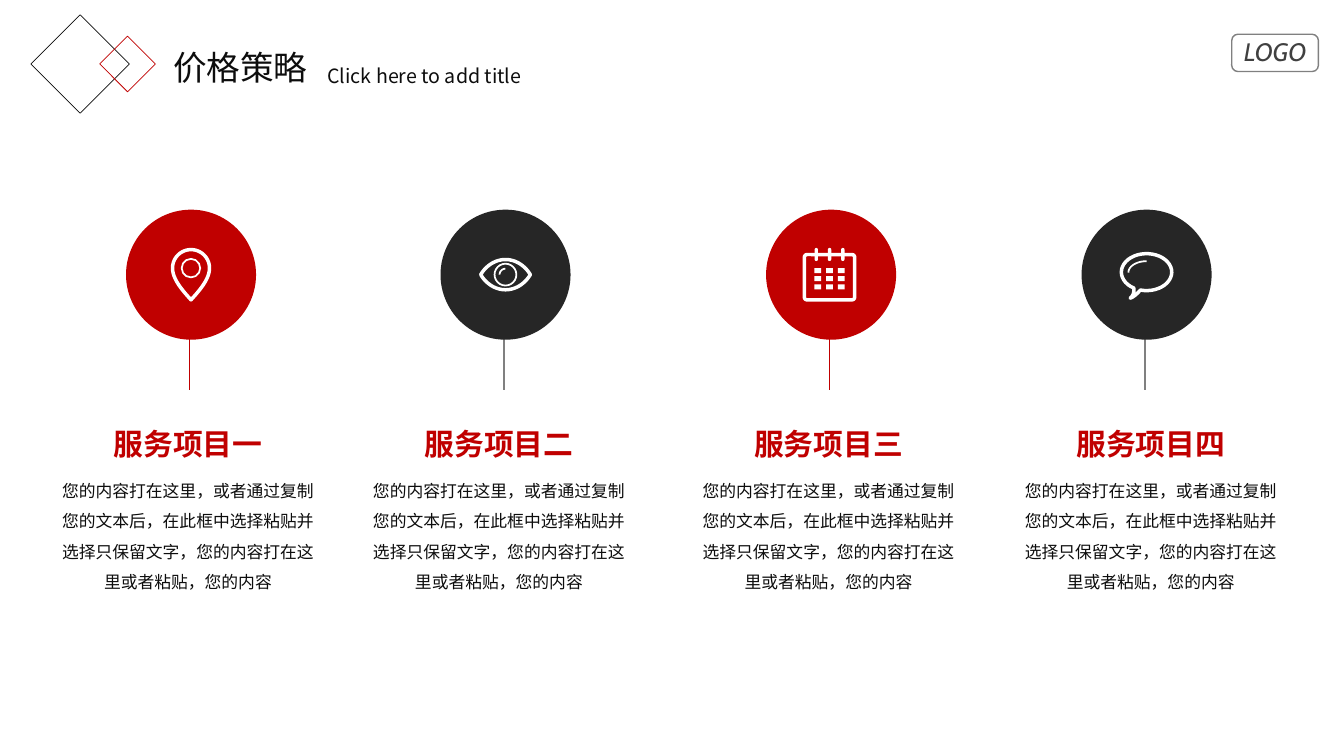
import math

from lxml import etree
from pptx import Presentation
from pptx.dml.color import RGBColor
from pptx.enum.shapes import MSO_CONNECTOR, MSO_SHAPE
from pptx.enum.text import MSO_AUTO_SIZE, PP_ALIGN
from pptx.oxml.ns import qn
from pptx.util import Inches, Pt

RECT, ROUND_RECT, OVAL = MSO_SHAPE.RECTANGLE, MSO_SHAPE.ROUNDED_RECTANGLE, MSO_SHAPE.OVAL
STRAIGHT = MSO_CONNECTOR.STRAIGHT
CENTER, LEFT, RIGHT = PP_ALIGN.CENTER, PP_ALIGN.LEFT, PP_ALIGN.RIGHT
FIT_TEXT = MSO_AUTO_SIZE.SHAPE_TO_FIT_TEXT

RED, DARK, INK, GRAY, WHITE = "C00000", "262626", "0D0D0D", "808080", "FFFFFF"
CJK_FONT, LOGO_FONT = "Noto Sans CJK SC", "Cabin"
CELL = Inches(1 / 12)
COLUMNS, ROWS = 160, 90
BOLD_STROKE, FINE_STROKE = 2.5, 1.25

DISC, DISC_TOP = 15.48, 24.96
DISC_MIDDLE = DISC_TOP + DISC / 2
STEM_TOP, STEM_BOTTOM, STEM_OFFSET = 33.96, 46.44, 7.56
HEADING_WIDTH, BODY_WIDTH = 24, 33.84
BODY = "您的内容打在这里，或者通过复制您的文本后，在此框中选择粘贴并选择只保留文字，您的内容打在这里或者粘贴，您的内容"


def cells(count):
    return round(count * CELL)


def color(hex_text):
    return RGBColor.from_string(hex_text)


def arc(cx, cy, rx, ry, start=0, end=360):
    angles = [math.radians(start + (end - start) * i / 40) for i in range(41)]
    return [(cx + rx * math.cos(a), cy + ry * math.sin(a)) for a in angles]


def bezier(*controls):
    points = []
    for i in range(17):
        t = i / 16
        weights = ((1 - t) ** 3, 3 * t * (1 - t) ** 2, 3 * t * t * (1 - t), t ** 3)
        points.append(tuple(sum(w * c[axis] for w, c in zip(weights, controls)) for axis in (0, 1)))
    return points


def mirror(points, sx, sy):
    return [(x * sx, y * sy) for x, y in reversed(points)]


class Board:
    """Draws styled elements on a slide measured in square grid cells."""

    def __init__(self, slide):
        self.slide = slide

    def paint(self, shape, fill, line, weight):
        shape.shadow.inherit = False
        if fill:
            shape.fill.solid()
            shape.fill.fore_color.rgb = color(fill)
        else:
            shape.fill.background()
        if line:
            shape.line.color.rgb = color(line)
            shape.line.width = Pt(weight)
        else:
            shape.line.fill.background()
        return shape

    def shape(self, preset, x, y, w, h, fill=None, line=None, weight=1):
        shape = self.slide.shapes.add_shape(preset, *map(cells, (x, y, w, h)))
        return self.paint(shape, fill, line, weight)

    def ring(self, cx, cy, radius, weight):
        self.shape(OVAL, cx - radius, cy - radius, 2 * radius, 2 * radius, line=WHITE, weight=weight)

    def stroke(self, cx, cy, points, weight, close=True):
        placed = [(cells(cx + x), cells(cy + y)) for x, y in points]
        builder = self.slide.shapes.build_freeform(*placed[0])
        builder.add_line_segments(placed[1:], close=close)
        self.paint(builder.convert_to_shape(), None, WHITE, weight)

    def stem(self, x, top, bottom, line):
        stem = self.slide.shapes.add_connector(STRAIGHT, *map(cells, (x, top, x, bottom)))
        stem.line.color.rgb = color(line)
        stem.line.width = Pt(1)
        etree.SubElement(stem._element.spPr, qn("a:effectLst"))

    def text(self, wording, x, y, w, h, size, ink=INK, align=CENTER, font=CJK_FONT,
             bold=False, italic=False, spacing=1.0):
        frame = self.slide.shapes.add_textbox(*map(cells, (x, y, w, h))).text_frame
        frame.word_wrap = True
        frame.auto_size = FIT_TEXT
        paragraph = frame.paragraphs[0]
        paragraph.alignment = align
        paragraph.line_spacing = spacing
        run = paragraph.add_run()
        run.text = wording
        run.font.name = font
        run.font.size = Pt(size)
        run.font.bold = bold
        run.font.italic = italic
        run.font.color.rgb = color(ink)
        etree.SubElement(run._r.get_or_add_rPr(), qn("a:ea"), typeface=font)


def draw_pin(board, cx, cy):
    head_y, radius, tip = -0.78, 2.2, (0, 3)
    right = bezier((radius, head_y), (radius, 0.55), (1, 1.9), tip)
    outline = arc(0, head_y, radius, radius, 180, 360) + right + mirror(right, -1, 1)
    board.stroke(cx, cy, outline, BOLD_STROKE)
    board.ring(cx, cy + head_y, 1.1, FINE_STROKE)


def draw_eye(board, cx, cy):
    upper_left = bezier((-2.95, 0), (-2.3, -1.1), (-1.2, -1.8), (0, -1.8))
    lid = upper_left + mirror(upper_left, -1, 1)
    board.stroke(cx, cy, lid + mirror(lid, 1, -1), BOLD_STROKE)
    board.ring(cx, cy, 1.3, FINE_STROKE)
    board.stroke(cx, cy, arc(0, 0, 0.7, 0.7, 180, 270), FINE_STROKE, close=False)


def draw_calendar(board, cx, cy):
    middle = cx - 0.18
    sheet = board.shape(ROUND_RECT, middle - 3, cy - 2.4, 6, 5.4, line=WHITE, weight=BOLD_STROKE)
    sheet.adjustments[0] = 0.06
    for column in (-1, 0, 1):
        tab = board.shape(ROUND_RECT, middle + column * 1.58 - 0.2, cy - 3.18, 0.4, 1.56, fill=WHITE)
        tab.adjustments[0] = 0.5
        for row in range(3):
            board.shape(RECT, middle + column * 1.4 - 0.4, cy - 0.78 + row * 0.96, 0.8, 0.6, fill=WHITE)


def draw_bubble(board, cx, cy):
    rim = arc(0, -0.3, 3, 2.2, 120, 464)
    tip = (-1.95, 2.8)
    tail = bezier(rim[-1], (-1, 2.1), (-1.4, 2.6), tip) + bezier(tip, (-1.5, 2.4), (-1.5, 2), rim[0])
    board.stroke(cx, cy, rim + tail, BOLD_STROKE)
    board.stroke(cx, cy, arc(0, -0.25, 2.16, 1.35, 180, 270), FINE_STROKE, close=False)


def draw_header(board):
    for x, y, side, line in ((5.4, 3.48, 8.28, INK), (12.84, 5.28, 4.68, RED)):
        board.shape(RECT, x, y, side, side, line=line, weight=0.5).rotation = 45
    board.shape(ROUND_RECT, 146.64, 4.08, 10.32, 4.44, line=GRAY)
    board.text("LOGO", 145.56, 3.72, 12.48, 4.8, 18, "404040", font=LOGO_FONT, italic=True)
    board.text("Click here to add title", 37.8, 6.48, 25.56, 4.44, 14, align=LEFT, spacing=1.2)
    board.text("价格策略", 1.8, 5.04, 36, 6, 24, align=RIGHT)


def draw_service(board, heading, disc_left, text_center, fill, line, draw_icon):
    board.stem(disc_left + STEM_OFFSET, STEM_TOP, STEM_BOTTOM, line)
    board.shape(OVAL, disc_left, DISC_TOP, DISC, DISC, fill=fill)
    draw_icon(board, disc_left + DISC / 2, DISC_MIDDLE)
    board.text(heading, text_center - HEADING_WIDTH / 2, 50.04, HEADING_WIDTH, 5.52, 21.3, RED, bold=True)
    board.text(BODY, text_center - BODY_WIDTH / 2, 55.44, BODY_WIDTH, 15.72, 12, spacing=1.5)


def main():
    deck = Presentation()
    deck.slide_width, deck.slide_height = cells(COLUMNS), cells(ROWS)
    board = Board(deck.slides.add_slide(deck.slide_layouts[6]))
    draw_header(board)
    services = (
        ("服务项目一", 15, 22.38, RED, RED, draw_pin),
        ("服务项目二", 52.44, 59.4, DARK, GRAY, draw_eye),
        ("服务项目三", 91.2, 98.64, RED, RED, draw_calendar),
        ("服务项目四", 128.76, 137, DARK, GRAY, draw_bubble),
    )
    for service in services:
        draw_service(board, *service)
    deck.save("out.pptx")


if __name__ == "__main__":
    main()
